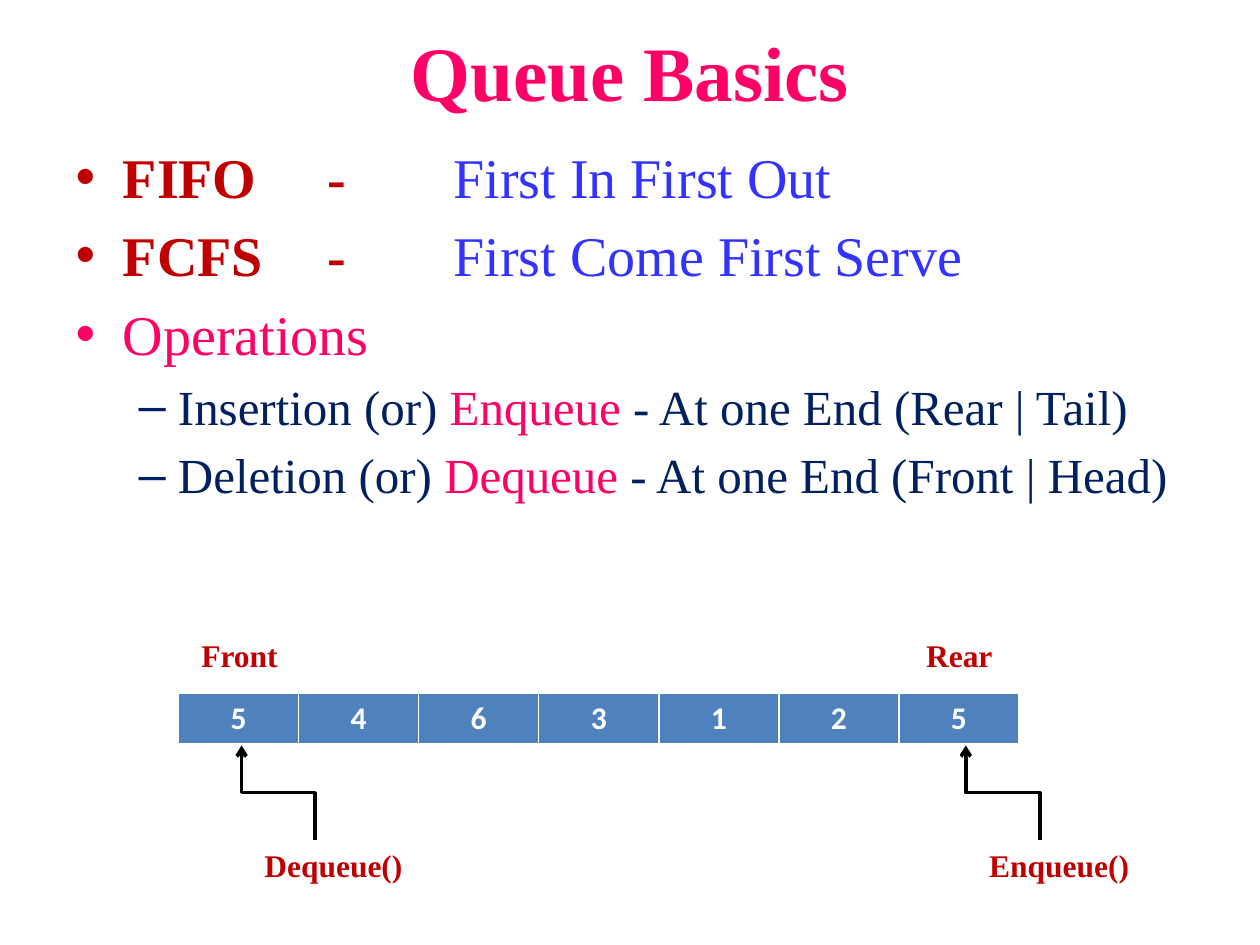
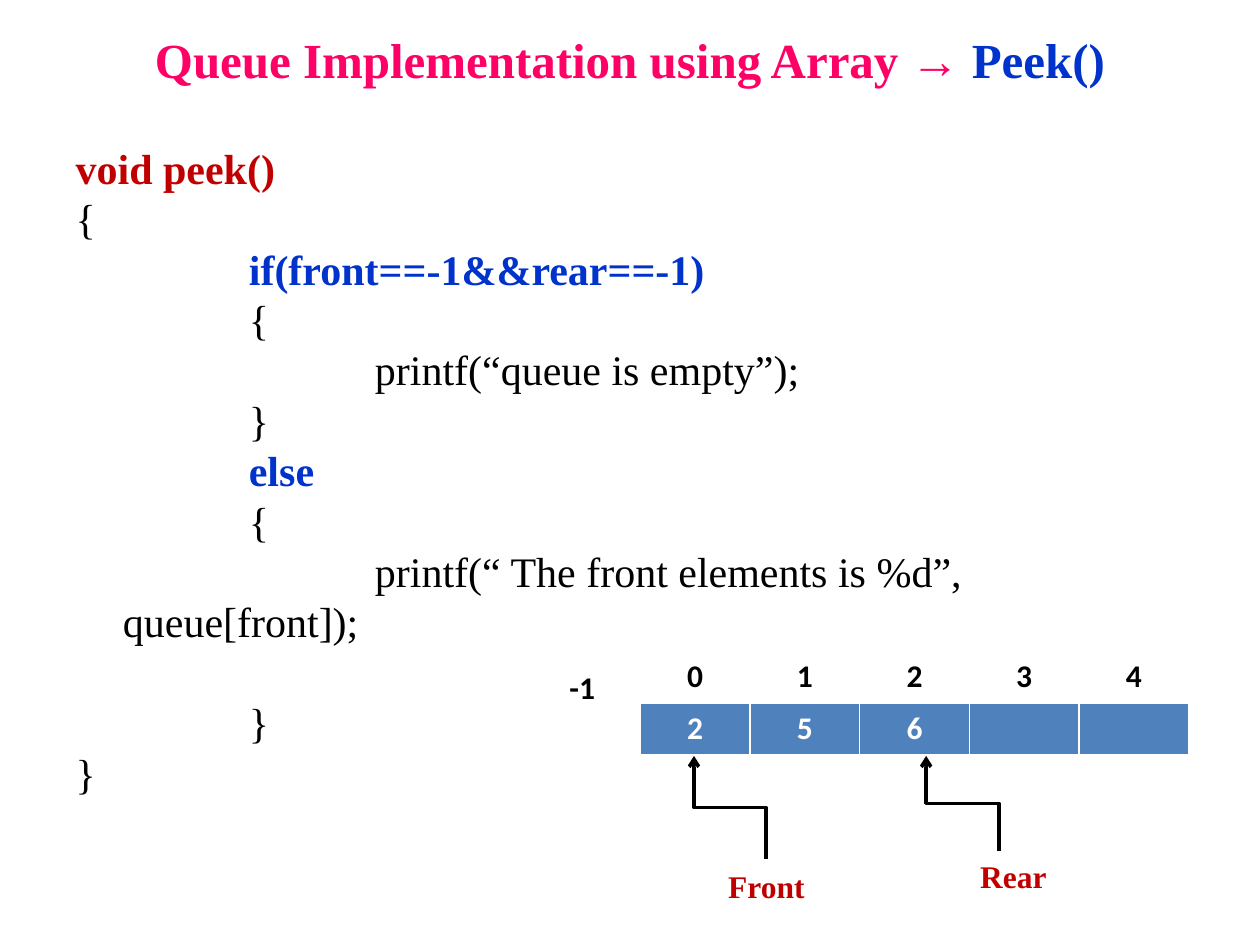
from dataclasses import dataclass

from lxml import etree
from pptx import Presentation
from pptx import util as u
from pptx.dml import color as dml
from pptx.enum import shapes as es
from pptx.enum import text as et
from pptx.oxml import ns

# Shared look
COLORS = {
    "pink": "FF0066", "red": "C00000", "violet": "3333FF", "navy": "002060",
    "blue": "0033CC", "cell": "4F81BD", "black": "000000", "white": "FFFFFF",
}
SERIF, SANS = "Times New Roman", "Calibri"
ROW_HEIGHT = 1.03
LABEL_HEIGHT = 1.02
CODE_PITCH = u.Pt(28.8)
TAB_DISTANCE = u.Cm(2.54)


@dataclass(frozen=True)
class Span:
    """A stretch of text in one colour."""
    text: str
    color: str
    bold: bool = False


@dataclass(frozen=True)
class Label:
    """A one-line caption; lengths in centimetres."""
    text: str
    left: float
    top: float
    width: float
    color: str = "red"
    font: str = SERIF


@dataclass(frozen=True)
class Pointer:
    """A bent arrow rising from its tail to its tip; lengths in centimetres."""
    tail_x: float
    tail_y: float
    tip_x: float
    tip_y: float


@dataclass(frozen=True)
class CellRow:
    """A row of equal cells; lengths in centimetres."""
    values: tuple[str, ...]
    left: float
    top: float
    cell_width: float
    fill: str | None = "cell"
    color: str = "white"


# Basics slide
OPERATIONS = [
    (0, [Span("FIFO\t-\t", "red", True), Span("First In First Out", "violet")]),
    (0, [Span("FCFS\t-\t", "red", True), Span("First Come First Serve", "violet")]),
    (0, [Span("Operations", "pink")]),
    (1, [Span("Insertion (or) ", "navy"), Span("Enqueue", "pink"),
         Span(" - At one End (Rear | Tail)", "navy")]),
    (1, [Span("Deletion (or) ", "navy"), Span("Dequeue", "pink"),
         Span(" - At one End (Front | Head)", "navy")]),
]
LEVEL_SIZES = (32, 28)
BASICS_QUEUE = CellRow(("5", "4", "6", "3", "1", "2", "5"), 3.6, 13.97, 2.42)
BASICS_LABELS = [
    Label("Front", 3.81, 12.7, 2.06),
    Label("Rear", 18.42, 12.7, 1.85),
    Label("Enqueue()", 19.69, 16.93, 3.35),
    Label("Dequeue()", 5.08, 16.93, 3.33),
]
BASICS_POINTERS = [Pointer(20.96, 16.93, 19.47, 15.03), Pointer(6.35, 16.93, 4.87, 15.03)]

# Peek slide: each code line with the empty lines above it
PEEK_CODE = [
    (Span("void peek()", "red", True), 0),
    (Span("{", "black"), 0),
    (Span("\t\tif(front==-1&&rear==-1)", "blue", True), 0),
    (Span("\t\t{", "black"), 0),
    (Span("\t\t\tprintf(“queue is empty”);", "black"), 0),
    (Span("\t\t}", "black"), 0),
    (Span("\t\telse", "blue", True), 0),
    (Span("\t\t{", "black"), 0),
    (Span("\t\t\tprintf(“\t The front elements is %d”, queue[front]);", "black"), 0),
    (Span("\t\t}", "black"), 1),
    (Span("}", "black"), 0),
]
PEEK_QUEUE = CellRow(("2", "5", "6", "", ""), 12.91, 14.18, 2.21)
PEEK_INDEXES = CellRow(("0", "1", "2", "3", "4"), 12.91, 13.12, 2.21, None, "black")
PEEK_LABELS = [
    Label("Front", 14.43, 17.35, 2.06),
    Label("Rear", 19.51, 17.15, 1.85),
    Label("-1", 11.23, 13.34, 1.04, "black", SANS),
]
PEEK_POINTERS = [Pointer(15.44, 17.32, 13.99, 15.24), Pointer(20.14, 17.15, 18.67, 15.24)]


def rgb(name: str) -> dml.RGBColor:
    return dml.RGBColor.from_string(COLORS[name])


def add_text(paragraph, text: str, *, size: float, color: str,
             bold: bool = False, font: str = SERIF) -> None:
    run = paragraph.add_run()
    run.text = text
    run.font.size = u.Pt(size)
    run.font.bold = bold
    run.font.name = font
    run.font.color.rgb = rgb(color)


def add_spans(paragraph, spans: list[Span], size: float) -> None:
    for span in spans:
        add_text(paragraph, span.text, size=size, color=span.color, bold=span.bold)


def place(shape, left: float, top: float, width: float, height: float) -> None:
    shape.left, shape.top = u.Cm(left), u.Cm(top)
    shape.width, shape.height = u.Cm(width), u.Cm(height)


def set_title(slide, spans: list[Span], size: float, top: float, height: float) -> None:
    title = slide.shapes.title
    place(title, 1.27, top, 22.86, height)
    title.text_frame.vertical_anchor = et.MSO_ANCHOR.MIDDLE
    heading = title.text_frame.paragraphs[0]
    heading.alignment = et.PP_ALIGN.CENTER
    add_spans(heading, spans, size)


def body_paragraphs(slide, count: int, width: float, height: float) -> list:
    """Place the body and return its paragraphs, all with one-inch tabs."""
    body = slide.placeholders[1]
    place(body, 1.27, 2.74, width, height)
    frame = body.text_frame
    frame.auto_size = et.MSO_AUTO_SIZE.NONE
    for _ in range(count - 1):
        frame.add_paragraph()
    for paragraph in frame.paragraphs:
        paragraph._p.get_or_add_pPr().set("defTabSz", str(int(TAB_DISTANCE)))
    return list(frame.paragraphs)


def add_cells(slide, row: CellRow) -> None:
    count = len(row.values)
    table = slide.shapes.add_table(
        1, count, u.Cm(row.left), u.Cm(row.top),
        u.Cm(row.cell_width * count), u.Cm(ROW_HEIGHT)).table
    table.first_row = row.fill is not None
    table.horz_banding = False
    for column, cell, value in zip(table.columns, table.iter_cells(), row.values):
        column.width = u.Cm(row.cell_width)
        if row.fill:
            cell.fill.solid()
            cell.fill.fore_color.rgb = rgb(row.fill)
        else:
            cell.fill.background()
        paragraph = cell.text_frame.paragraphs[0]
        paragraph.alignment = et.PP_ALIGN.CENTER
        if value:
            add_text(paragraph, value, size=18, color=row.color, bold=True, font=SANS)


def add_label(slide, label: Label) -> None:
    caption = slide.shapes.add_textbox(
        u.Cm(label.left), u.Cm(label.top), u.Cm(label.width), u.Cm(LABEL_HEIGHT))
    caption.text_frame.word_wrap = False
    caption.text_frame.auto_size = et.MSO_AUTO_SIZE.SHAPE_TO_FIT_TEXT
    add_text(caption.text_frame.paragraphs[0], label.text,
             size=18, color=label.color, bold=True, font=label.font)


def add_pointer(slide, pointer: Pointer) -> None:
    # The elbow is laid out sideways about its centre, then turned upright
    center_x = (pointer.tail_x + pointer.tip_x) / 2
    center_y = (pointer.tail_y + pointer.tip_y) / 2
    half_run = (pointer.tail_x - pointer.tip_x) / 2
    half_rise = (pointer.tail_y - pointer.tip_y) / 2
    arrow = slide.shapes.add_connector(
        es.MSO_CONNECTOR.ELBOW,
        u.Cm(center_x - half_rise), u.Cm(center_y + half_run),
        u.Cm(center_x + half_rise), u.Cm(center_y - half_run))
    arrow.line.color.rgb = rgb("black")
    arrow.line.width = u.Pt(2)
    properties = arrow._element.spPr
    properties.find(ns.qn("a:xfrm")).set("rot", str(270 * 60000))
    etree.SubElement(properties.find(ns.qn("a:ln")), ns.qn("a:tailEnd"), type="arrow")
    etree.SubElement(properties, ns.qn("a:effectLst"))


def draw_queue(slide, rows: list[CellRow], labels: list[Label],
               pointers: list[Pointer]) -> None:
    for row in rows:
        add_cells(slide, row)
    for label in labels:
        add_label(slide, label)
    for pointer in pointers:
        add_pointer(slide, pointer)


def build_basics(slide) -> None:
    set_title(slide, [Span("Queue Basics", "pink", True)], 44, 0, 2.84)
    paragraphs = body_paragraphs(slide, len(OPERATIONS), 23.29, 15.24)
    for paragraph, (level, spans) in zip(paragraphs, OPERATIONS):
        paragraph.level = level
        add_spans(paragraph, spans, LEVEL_SIZES[level])
    draw_queue(slide, [BASICS_QUEUE], BASICS_LABELS, BASICS_POINTERS)


def build_peek(slide) -> None:
    set_title(slide, [Span("Queue Implementation using Array → ", "pink", True),
                      Span("Peek()", "blue", True)], 28, 0.2, 1.98)
    paragraphs = body_paragraphs(slide, len(PEEK_CODE), 22.86, 14.27)
    for paragraph, (line, gap_lines) in zip(paragraphs, PEEK_CODE):
        etree.SubElement(paragraph._p.get_or_add_pPr(), ns.qn("a:buNone"))
        paragraph.line_spacing = CODE_PITCH
        paragraph.space_before = u.Emu(CODE_PITCH * gap_lines)
        add_spans(paragraph, [line], 24)
    draw_queue(slide, [PEEK_QUEUE, PEEK_INDEXES], PEEK_LABELS, PEEK_POINTERS)


def main() -> None:
    deck = Presentation()
    deck.slide_width, deck.slide_height = u.Cm(25.4), u.Cm(19.05)
    title_and_content = deck.slide_layouts[1]
    for build in (build_basics, build_peek):
        build(deck.slides.add_slide(title_and_content))
    deck.save("out.pptx")


if __name__ == "__main__":
    main()
